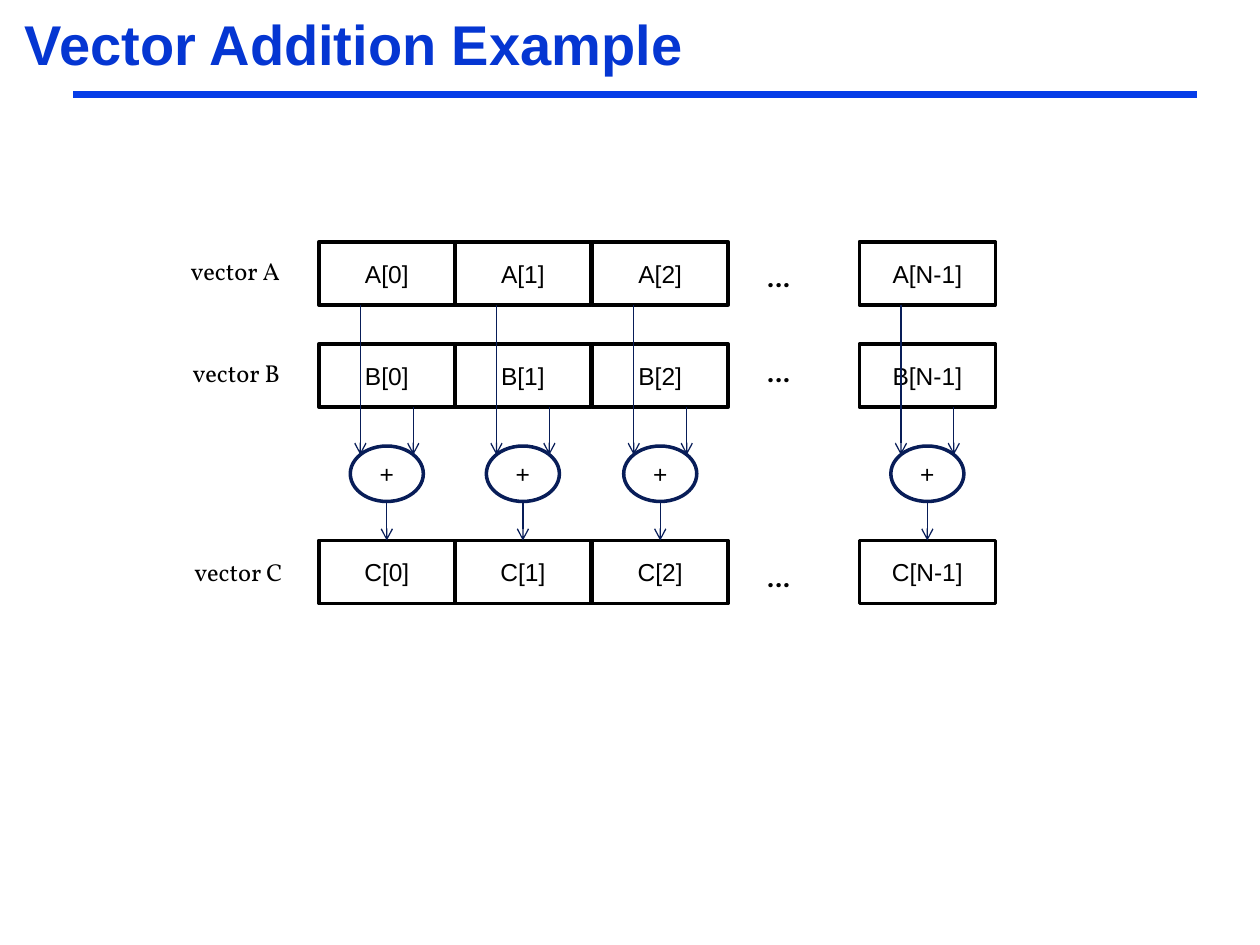
from lxml.etree import SubElement
from pptx import Presentation
from pptx.dml.color import RGBColor
from pptx.enum.shapes import MSO_CONNECTOR, MSO_SHAPE
from pptx.enum.text import MSO_ANCHOR, PP_ALIGN
from pptx.oxml.ns import qn
from pptx.util import Inches, Pt

COLORS = {"title": "0536D2", "rule": "063DE8", "ink": "000000",
          "paper": "FFFFFF", "flow": "081D58"}

# Left edge of each column of cells, by index label
COLUMNS = {"0": 2.53, "1": 3.61, "2": 4.7, "N-1": 6.82}
# Per vector: cell top, label left, label top, ellipsis top
ROWS = {"A": (1.92, 0.82, 1.98, 2.04),
        "B": (2.73, 0.82, 2.79, 2.79),
        "C": (4.29, 0.84, 4.37, 4.42)}
CELL_W, CELL_H = 1.08, 0.5
ADDER_W, ADDER_H, ADDER_TOP = 0.58, 0.44, 3.54
INPUT_OFFSET = 0.21
INPUT_END = 3.61

CELL_FONT = {"name": "Arial", "size": Pt(14)}
LABEL_FONT = {"name": "Vollkorn", "size": Pt(14)}
DOTS_FONT = {**LABEL_FONT, "bold": True}
TITLE_FONT = {"name": "Arial", "size": Pt(32), "bold": True}


def rgb(key):
    return RGBColor.from_string(COLORS[key])


def write(tf, text, font, color="ink", align=PP_ALIGN.LEFT):
    p = tf.paragraphs[0]
    p.alignment = align
    r = p.add_run()
    r.text = text
    for name, value in font.items():
        setattr(r.font, name, value)
    r.font.color.rgb = rgb(color)
    return p


def add_text(s, box, text, font, color="ink", align=PP_ALIGN.LEFT, wrap=True):
    tf = s.shapes.add_textbox(*map(Inches, box)).text_frame
    tf.word_wrap = wrap
    return write(tf, text, font, color, align)


def add_node(s, kind, box, text, line):
    """Outlined shape with centred text."""
    sp = s.shapes.add_shape(kind, *map(Inches, box))
    sp.shadow.inherit = False
    sp.fill.solid()
    sp.fill.fore_color.rgb = rgb("paper")
    sp.line.color.rgb = rgb(line)
    sp.line.width = Pt(2)
    sp.text_frame.word_wrap = True
    sp.text_frame.vertical_anchor = MSO_ANCHOR.MIDDLE
    write(sp.text_frame, text, CELL_FONT, align=PP_ALIGN.CENTER)


def add_line(s, start, end, color, width, arrow=False):
    cx = s.shapes.add_connector(MSO_CONNECTOR.STRAIGHT,
                                *map(Inches, (*start, *end)))
    cx.line.color.rgb = rgb(color)
    cx.line.width = Pt(width)
    if arrow:
        SubElement(cx.line._get_or_add_ln(), qn("a:tailEnd"), type="arrow")
    SubElement(cx._element.spPr, qn("a:effectLst"))


def add_vector(s, name):
    top, label_left, label_top, dots_top = ROWS[name]
    add_text(s, (label_left, label_top, 1.5, 0.34), f"vector {name}",
             LABEL_FONT, align=PP_ALIGN.RIGHT)
    for index, left in COLUMNS.items():
        add_node(s, MSO_SHAPE.RECTANGLE, (left, top, CELL_W, CELL_H),
                 f"{name}[{index}]", "ink")
    add_text(s, (5.99, dots_top, 0.4, 0.34), "…", DOTS_FONT, wrap=False)


def add_adder(s, left):
    """Plus node of one column with its two inputs and its output."""
    x = left + CELL_W / 2
    add_node(s, MSO_SHAPE.OVAL,
             (x - ADDER_W / 2, ADDER_TOP, ADDER_W, ADDER_H), "+", "flow")
    arrows = ((x - INPUT_OFFSET, ROWS["A"][0] + CELL_H, INPUT_END),
              (x + INPUT_OFFSET, ROWS["B"][0] + CELL_H, INPUT_END),
              (x, ADDER_TOP + ADDER_H, ROWS["C"][0]))
    for ax, y1, y2 in arrows:
        add_line(s, (ax, y1), (ax, y2), "flow", 0.75, arrow=True)


def main():
    prs = Presentation()
    prs.slide_width, prs.slide_height = Inches(10), Inches(7.5)
    s = prs.slides.add_slide(prs.slide_layouts[6])
    add_line(s, (0.58, 0.75), (9.5, 0.75), "rule", 4.5)
    for name in ROWS:
        add_vector(s, name)
    for left in COLUMNS.values():
        add_adder(s, left)
    title = add_text(s, (0.1, 0.1, 9.9, 0.95), "Vector Addition Example",
                     TITLE_FONT, "title")
    title.line_spacing = 0.87
    prs.save("out.pptx")


if __name__ == "__main__":
    main()
